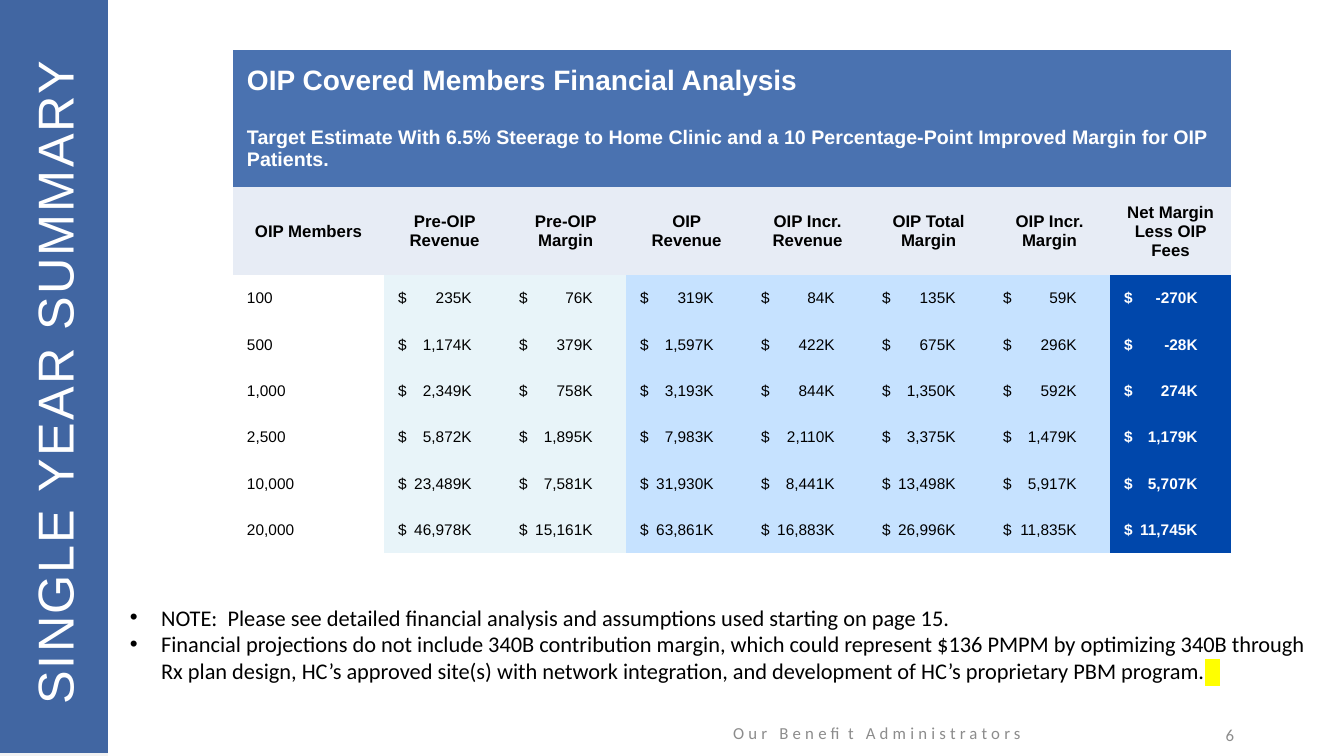
from dataclasses import dataclass

from lxml import etree
from pptx import Presentation
from pptx import util as u
from pptx.dml.color import RGBColor
from pptx.enum import shapes, text
from pptx.oxml import ns

Inches = u.Inches


@dataclass(frozen=True)
class Theme:
    heading_font: str = "Arial"
    body_font: str = "Calibri"
    white: str = "FFFFFF"
    black: str = "000000"
    gray: str = "8C8C8C"
    rail: str = "F2F2F2"
    rail_tint: str = "254F96"
    banner: str = "4A72B0"
    header: str = "E7ECF5"
    before: str = "E8F4F9"
    after: str = "C6E2FF"
    net: str = "0047AB"
    highlight: str = "FFFF00"
    title_size: int = 36
    banner_size: int = 20
    note_size: int = 16
    subtitle_size: int = 14
    small_size: int = 12
    cell_size: int = 11


T = Theme()
LEFT, CENTER, RIGHT = (text.PP_ALIGN.LEFT, text.PP_ALIGN.CENTER,
                       text.PP_ALIGN.RIGHT)
NO_GRID_STYLE = "{2D5ABB26-0587-4C30-8999-92F81FD0307C}"

BANNERS = [
    ("OIP Covered Members Financial Analysis", T.banner_size),
    ("Target Estimate With 6.5% Steerage to Home Clinic and a 10 "
     "Percentage-Point Improved Margin for OIP Patients.", T.subtitle_size),
]
HEADERS = ["OIP Members", "Pre-OIP Revenue", "Pre-OIP Margin", "OIP Revenue",
           "OIP Incr. Revenue", "OIP Total Margin", "OIP Incr. Margin",
           "Net Margin Less OIP Fees"]
COLUMN_FILLS = [None] + [T.before] * 2 + [T.after] * 4 + [T.net]
FINANCIALS = [
    (100, 235, 76, 319, 84, 135, 59, -270),
    (500, 1174, 379, 1597, 422, 675, 296, -28),
    (1000, 2349, 758, 3193, 844, 1350, 592, 274),
    (2500, 5872, 1895, 7983, 2110, 3375, 1479, 1179),
    (10000, 23489, 7581, 31930, 8441, 13498, 5917, 5707),
    (20000, 46978, 15161, 63861, 16883, 26996, 11835, 11745),
]
COLUMN_WIDTHS = [1.5] + [1.2] * 7
ROW_HEIGHTS = [0.6, 0.76, 0.87] + [0.46] * len(FINANCIALS)
NOTES = [
    "NOTE:  Please see detailed financial analysis and assumptions used "
    "starting on page 15.",
    "Financial projections do not include 340B contribution margin, which "
    "could represent $136 PMPM by optimizing 340B through Rx plan design, "
    "HC’s approved site(s) with network integration, and development of "
    "HC’s proprietary PBM program.",
]


def style_run(r, font, size, color, bold=False, spacing=0):
    """Format a run; spacing is the letter spacing in points."""
    r.font.name = font
    r.font.size = u.Pt(size)
    r.font.bold = bold
    r.font.color.rgb = RGBColor.from_string(color)
    if spacing:
        r.font._element.set("spc", str(int(spacing * 100)))


def add_bar(s, top, color, opacity=None):
    sp = s.shapes.add_shape(shapes.MSO_SHAPE.RECTANGLE, 0, Inches(top),
                            Inches(1.07), Inches(7.5))
    sp.shadow.inherit = False
    sp.line.fill.background()
    sp.fill.solid()
    sp.fill.fore_color.rgb = RGBColor.from_string(color)
    if opacity is not None:
        clr = sp._element.spPr.find(".//" + ns.qn("a:srgbClr"))
        etree.SubElement(clr, ns.qn("a:alpha"), val=str(opacity * 1000))


def add_box(s, left, top, width, height):
    sp = s.shapes.add_textbox(Inches(left), Inches(top), Inches(width),
                              Inches(height))
    sp.text_frame.word_wrap = True
    return sp


def add_label(s, box, words, align, font, size, color, spacing=0):
    """Add one line of vertically centred text."""
    sp = add_box(s, *box)
    tf = sp.text_frame
    tf.vertical_anchor = text.MSO_ANCHOR.MIDDLE
    tf.text = words
    p = tf.paragraphs[0]
    p.alignment = align
    style_run(p.runs[0], font, size, color, spacing=spacing)
    return sp


def add_bullet(p):
    pPr = p._p.get_or_add_pPr()
    pPr.set("marL", str(Inches(0.31)))
    pPr.set("indent", str(-Inches(0.31)))
    etree.SubElement(pPr, ns.qn("a:buFont"), typeface="Arial")
    etree.SubElement(pPr, ns.qn("a:buChar"), char="•")


def add_highlight(r, color):
    mark = etree.Element(ns.qn("a:highlight"))
    etree.SubElement(mark, ns.qn("a:srgbClr"), val=color)
    r.font._element.find(ns.qn("a:latin")).addprevious(mark)


def add_notes(s):
    tf = add_box(s, 1.19, 5.94, 11.9, 0.91).text_frame
    tf.text = "\n".join(NOTES)
    for p in tf.paragraphs:
        add_bullet(p)
        style_run(p.runs[0], T.body_font, T.note_size, T.black)
    r = tf.paragraphs[-1].add_run()
    r.text = "   "
    style_run(r, T.body_font, T.note_size, T.black)
    add_highlight(r, T.highlight)


def add_amount_tab(p):
    """Align the amounts of a column on their right edge."""
    tabs = etree.SubElement(p._p.get_or_add_pPr(), ns.qn("a:tabLst"))
    etree.SubElement(tabs, ns.qn("a:tab"), pos=str(Inches(0.73)), algn="r")


def fill_cell(cell, words, fill, size, color, bold=False, align=LEFT):
    cell.margin_left = cell.margin_right = Inches(0.14)
    cell.margin_top = cell.margin_bottom = 0
    cell.vertical_anchor = text.MSO_ANCHOR.MIDDLE
    if fill:
        cell.fill.solid()
        cell.fill.fore_color.rgb = RGBColor.from_string(fill)
    else:
        cell.fill.background()
    cell.text_frame.text = words
    p = cell.text_frame.paragraphs[0]
    p.alignment = align
    if "\t" in words:
        add_amount_tab(p)
    style_run(p.runs[0], T.heading_font, size, color, bold)


def add_financial_table(s):
    table = s.shapes.add_table(
        len(ROW_HEIGHTS), len(COLUMN_WIDTHS), Inches(2.31), Inches(0.5),
        Inches(sum(COLUMN_WIDTHS)), Inches(sum(ROW_HEIGHTS))).table
    table.first_row = table.horz_banding = False
    table._tbl.tblPr.find(ns.qn("a:tableStyleId")).text = NO_GRID_STYLE
    for column, width in zip(table.columns, COLUMN_WIDTHS):
        column.width = Inches(width)
    for row, height in zip(table.rows, ROW_HEIGHTS):
        row.height = Inches(height)

    for i, (words, size) in enumerate(BANNERS):
        table.cell(i, 0).merge(table.cell(i, len(HEADERS) - 1))
        fill_cell(table.cell(i, 0), words, T.banner, size, T.white, True)
    for j, words in enumerate(HEADERS):
        fill_cell(table.cell(2, j), words, T.header, T.small_size, T.black,
                  True, CENTER)
    for i, values in enumerate(FINANCIALS, 3):
        for j, (value, fill) in enumerate(zip(values, COLUMN_FILLS)):
            words = f"$\t{value:,}K" if j else f"{value:,}"
            net = fill == T.net
            fill_cell(table.cell(i, j), words, fill, T.cell_size,
                      T.white if net else T.black, net)


def main():
    prs = Presentation()
    prs.slide_width, prs.slide_height = Inches(13.33), Inches(7.5)
    s = prs.slides.add_slide(prs.slide_layouts[6])
    add_bar(s, 0, T.rail)
    add_label(s, (6.45, 7.07, 4.5, 0.4), "Our Benefit Administrators", CENTER,
              T.body_font, T.small_size, T.gray, 3)
    add_label(s, (9.34, 7.09, 3, 0.4), "6", RIGHT, T.body_font, T.small_size,
              T.gray)
    add_bar(s, -0.03, T.rail_tint, 86)
    title = add_label(s, (-2.83, 3.32, 6.72, 0.82), "SINGLE YEAR SUMMARY",
                      LEFT, T.heading_font, T.title_size, T.white, 1.5)
    title.rotation = 270
    add_notes(s)
    add_financial_table(s)
    prs.save("out.pptx")


if __name__ == "__main__":
    main()
